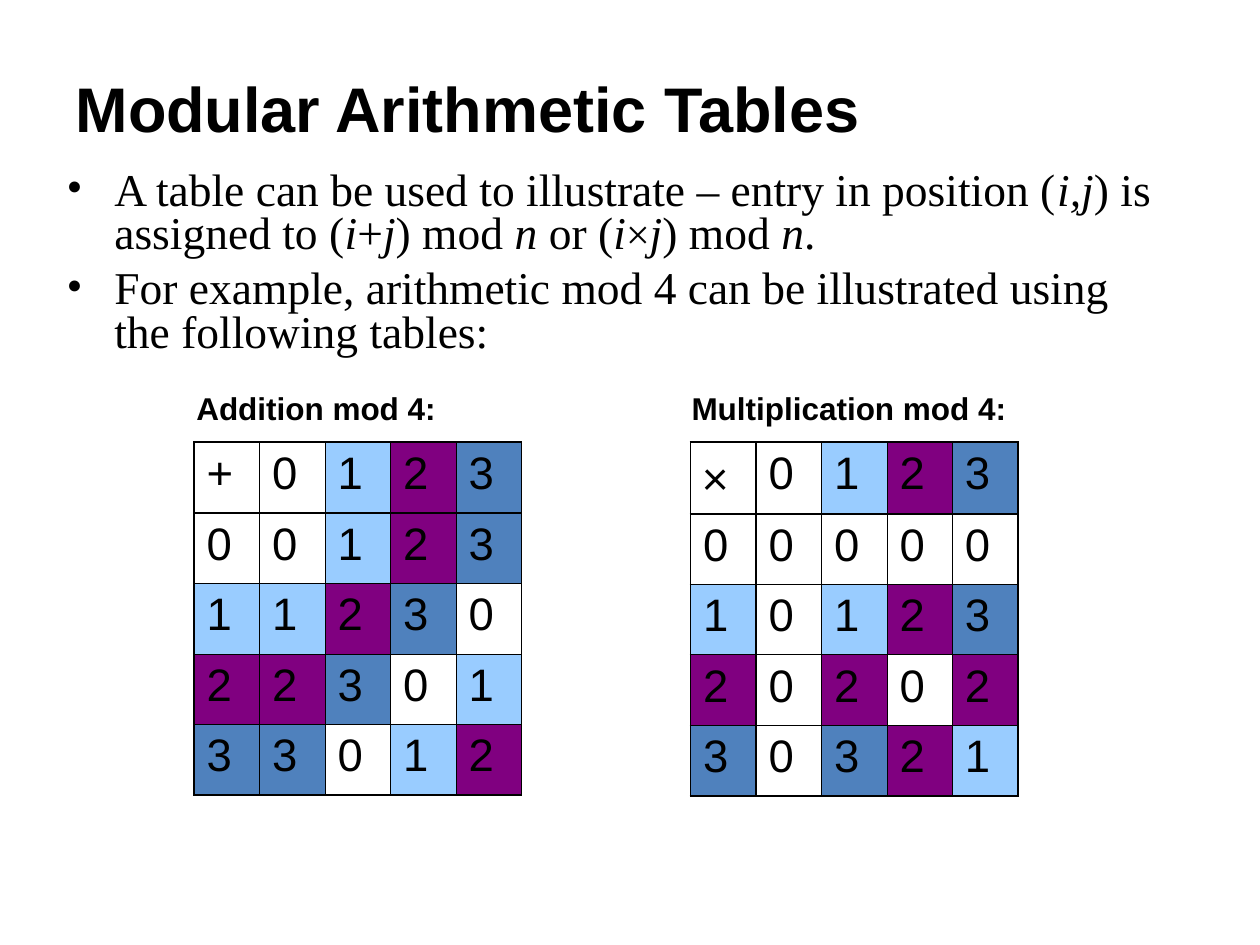
from lxml import etree
from pptx import Presentation
from pptx.dml.color import RGBColor
from pptx.enum.text import MSO_ANCHOR, PP_ALIGN
from pptx.oxml.ns import qn
from pptx.util import Inches, Pt

LEFT = PP_ALIGN.LEFT
MIDDLE = MSO_ANCHOR.MIDDLE

COLORS = {"text": "000000", "border": "000000"}
RESIDUE_FILLS = {1: "99CCFF", 2: "800080", 3: "4F81BD"}  # zero stays unfilled

MODULUS = 4
TITLE_ONLY_LAYOUT = 5
CELL_WIDTH, ROW_HEIGHT = 0.52, 0.56
HEAVY, THIN = 1.08, 0.45
HEAVY_EDGES = (0, 1, MODULUS + 1)  # outer frame and header separators

# Asterisks enclose italic parts
BULLETS = (
    "A table can be used to illustrate – entry in position (*i,j*) is assigned to "
    "(*i*+*j*) mod *n *or (*i*×*j*) mod *n*.",
    "For example, arithmetic mod 4 can be illustrated using the following tables:",
)


def set_font(font, name, size, bold=False):
    font.name = name
    font.size = Pt(size)
    font.bold = bold
    font.color.rgb = RGBColor.from_string(COLORS["text"])


def place(shape, left, top, width, height):
    shape.left, shape.top = Inches(left), Inches(top)
    shape.width, shape.height = Inches(width), Inches(height)


def add_text_frame(slide, left, top, width, height):
    box = slide.shapes.add_textbox(
        Inches(left), Inches(top), Inches(width), Inches(height))
    box.text_frame.word_wrap = True
    return box.text_frame


def add_title(slide, text):
    title = slide.shapes.title
    place(title, 0.5, 0.31, 9, 1.09)
    title.text_frame.text = text
    title.text_frame.vertical_anchor = MIDDLE
    paragraph = title.text_frame.paragraphs[0]
    paragraph.alignment = LEFT
    set_font(paragraph.font, "Arial", 36, bold=True)


def set_bullet(paragraph):
    properties = paragraph._p.get_or_add_pPr()
    properties.set("marL", str(Inches(0.38)))
    properties.set("indent", str(-Inches(0.38)))
    etree.SubElement(properties, qn("a:buFont"), typeface="Times New Roman")
    etree.SubElement(properties, qn("a:buChar"), char="•")


def add_bullets(slide, bullets):
    frame = add_text_frame(slide, 0.43, 1.31, 9, 1.65)
    for index, bullet in enumerate(bullets):
        paragraph = frame.add_paragraph() if index else frame.paragraphs[0]
        set_bullet(paragraph)
        paragraph.line_spacing = 0.8
        if index:
            paragraph.space_before = Pt(6.5)
        set_font(paragraph.font, "Times New Roman", 26)
        for part, text in enumerate(bullet.split("*")):
            if text:
                run = paragraph.add_run()
                run.text = text
                run.font.italic = part % 2 == 1
                if text == "×":
                    run.font.size = Pt(24)


def add_label(slide, text, left):
    paragraph = add_text_frame(slide, left, 3.04, 3.94, 0.86).paragraphs[0]
    paragraph.text = text
    set_font(paragraph.font, "Arial", 18, bold=True)


def set_borders(cell, row, column):
    edges = {"a:lnL": column, "a:lnR": column + 1, "a:lnT": row, "a:lnB": row + 1}
    properties = cell._tc.get_or_add_tcPr()
    for tag, edge in edges.items():
        width = HEAVY if edge in HEAVY_EDGES else THIN
        line = etree.SubElement(properties, qn(tag), w=str(Pt(width)))
        fill = etree.SubElement(line, qn("a:solidFill"))
        etree.SubElement(fill, qn("a:srgbClr"), val=COLORS["border"])


def fill_cell(cell, value):
    if value in RESIDUE_FILLS:
        cell.fill.solid()
        cell.fill.fore_color.rgb = RGBColor.from_string(RESIDUE_FILLS[value])
    else:
        cell.fill.background()


def operation_rows(symbol, operation):
    residues = list(range(MODULUS))
    return [[symbol] + residues] + [
        [i] + [operation(i, j) % MODULUS for j in residues] for i in residues]


def add_operation_table(slide, rows, left, symbol_font, symbol_size):
    count = len(rows)
    table = slide.shapes.add_table(
        count, count, Inches(left), Inches(3.51),
        Inches(CELL_WIDTH * count), Inches(ROW_HEIGHT * count)).table
    table.first_row = table.horz_banding = False
    for line in table.columns:
        line.width = Inches(CELL_WIDTH)
    for line in table.rows:
        line.height = Inches(ROW_HEIGHT)
    for row, values in enumerate(rows):
        for column, value in enumerate(values):
            cell = table.cell(row, column)
            cell.text = str(value)
            set_borders(cell, row, column)
            fill_cell(cell, value)
            is_symbol = row == column == 0
            set_font(cell.text_frame.paragraphs[0].font,
                     symbol_font if is_symbol else "Arial",
                     symbol_size if is_symbol else 26)


def main():
    presentation = Presentation()
    presentation.slide_width, presentation.slide_height = Inches(10), Inches(7.5)
    slide = presentation.slides.add_slide(
        presentation.slide_layouts[TITLE_ONLY_LAYOUT])

    # Title and explanation
    add_title(slide, "Modular Arithmetic Tables")
    add_bullets(slide, BULLETS)

    # Addition table
    add_label(slide, "Addition mod 4:", 1.46)
    addition = operation_rows("+", lambda i, j: i + j)
    add_operation_table(slide, addition, 1.54, "Arial", 26)

    # Multiplication table
    add_label(slide, "Multiplication mod 4:", 5.39)
    multiplication = operation_rows("×", lambda i, j: i * j)
    add_operation_table(slide, multiplication, 5.48, "Calibri", 28)

    presentation.save("out.pptx")


if __name__ == "__main__":
    main()
